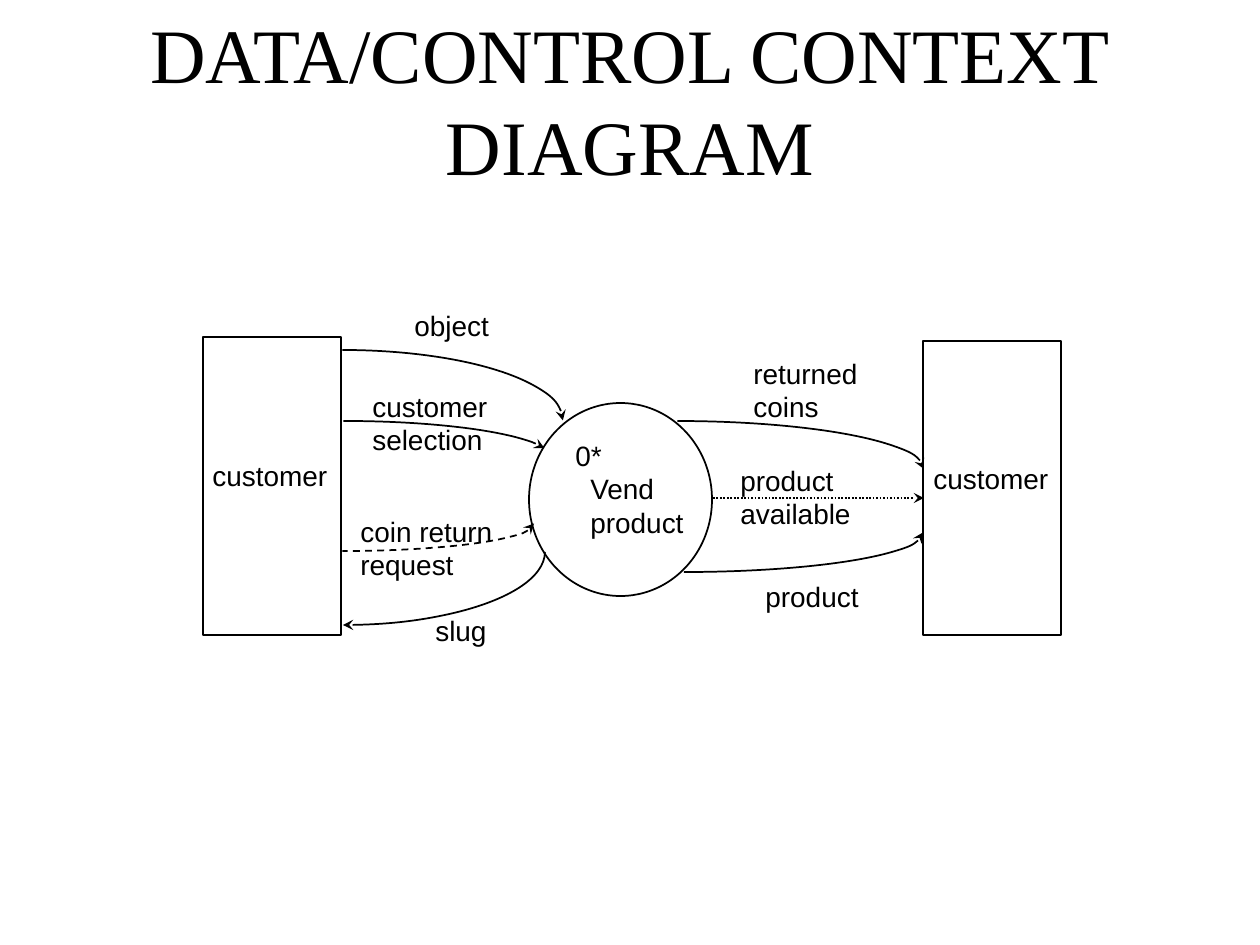
from lxml.etree import SubElement
from pptx import Presentation
from pptx.dml.color import RGBColor
from pptx.enum.dml import MSO_LINE
from pptx.enum.shapes import MSO_CONNECTOR, MSO_SHAPE
from pptx.enum.text import MSO_ANCHOR, PP_ALIGN
from pptx.oxml.ns import qn
from pptx.util import Emu, Pt

BLACK = RGBColor(0, 0, 0)
WHITE = RGBColor(255, 255, 255)
EMU_PER_PX = 914400 / 126


def px(length):
    return Emu(round(length * EMU_PER_PX))


class ContextDiagram:
    """Draws diagram elements on one slide in a shared style."""

    title_font, title_size = "Times New Roman", Pt(44)
    label_font, label_size = "Arial", Pt(16)
    line_width = Pt(1)

    def __init__(self, slide):
        self.slide = slide

    def _text(self, box, lines, font, size, wrap):
        frame = self.slide.shapes.add_textbox(*map(px, box)).text_frame
        frame.word_wrap = wrap
        frame.text = "\n".join(lines)
        for paragraph in frame.paragraphs:
            paragraph.font.name = font
            paragraph.font.size = size
            paragraph.font.color.rgb = BLACK
        return frame

    def _outline(self, line, dash=None):
        line.color.rgb = BLACK
        line.width = self.line_width
        if dash is not None:
            line.dash_style = dash

    def _arrowhead(self, shape, end):
        """Put a stealth arrowhead at headEnd (start) or tailEnd (finish)."""
        line = shape.line._get_or_add_ln()
        SubElement(line, qn(f"a:{end}")).set("type", "stealth")

    def title(self, text, box):
        frame = self._text(box, [text], self.title_font, self.title_size, True)
        frame.vertical_anchor = MSO_ANCHOR.MIDDLE
        frame.paragraphs[0].alignment = PP_ALIGN.CENTER

    def label(self, box, *lines, indents=()):
        frame = self._text(box, lines, self.label_font, self.label_size, False)
        for paragraph, indent in zip(frame.paragraphs, indents):
            paragraph._p.get_or_add_pPr().set("marL", str(px(indent)))

    def node(self, kind, box):
        shape = self.slide.shapes.add_shape(kind, *map(px, box))
        shape.shadow.inherit = False
        shape.fill.solid()
        shape.fill.fore_color.rgb = WHITE
        self._outline(shape.line)

    def curve(self, box, start, finish, end="tailEnd", dash=None):
        """Draw a clockwise arc of the ellipse in box, angles in degrees."""
        arc = self.slide.shapes.add_shape(MSO_SHAPE.ARC, *map(px, box))
        arc.shadow.inherit = False
        # One degree is 60000 units; adjustments count in 100000 units.
        arc.adjustments[0] = start * 0.6
        arc.adjustments[1] = finish * 0.6
        arc.fill.background()
        self._outline(arc.line, dash)
        self._arrowhead(arc, end)

    def arrow(self, start, finish, dash):
        connector = self.slide.shapes.add_connector(
            MSO_CONNECTOR.STRAIGHT, *map(px, start + finish))
        self._outline(connector.line, dash)
        self._arrowhead(connector, "tailEnd")
        SubElement(connector._element.spPr, qn("a:effectLst"))


def main():
    presentation = Presentation()
    presentation.slide_width = px(1260)
    presentation.slide_height = px(945)
    slide = presentation.slides.add_slide(presentation.slide_layouts[6])
    diagram = ContextDiagram(slide)

    diagram.title("DATA/CONTROL CONTEXT DIAGRAM", (0, 0, 1260, 197))

    diagram.node(MSO_SHAPE.RECTANGLE, (203, 337, 138, 298))
    diagram.label((200, 452, 140, 47), "customer")
    diagram.node(MSO_SHAPE.OVAL, (529, 403, 183, 193))
    diagram.label((547, 432, 150, 113), "0*", "Vend", "product",
                  indents=(16, 31, 31))
    diagram.node(MSO_SHAPE.RECTANGLE, (923, 341, 138, 294))
    diagram.label((921, 455, 140, 47), "customer")

    # Flows between the left customer and the process
    diagram.curve((122, 350, 441, 141), 270, 0)
    diagram.label((402, 302, 100, 47), "object")
    diagram.curve((135, 421, 417, 74), 270, 357.2)
    diagram.label((360, 383, 140, 79), "customer", "selection")
    diagram.curve((151, 496, 383, 55), 0, 90, "headEnd", MSO_LINE.DASH)
    diagram.label((348, 508, 158, 79), "coin return", "request")
    diagram.curve((141, 479, 404, 146), 0, 90)
    diagram.label((423, 607, 77, 47), "slug")

    # Flows between the process and the right customer
    diagram.curve((431, 421, 493, 96), 270, 0)
    diagram.label((741, 350, 130, 79), "returned", "coins")
    diagram.arrow((713, 498), (924, 498), MSO_LINE.ROUND_DOT)
    diagram.label((728, 457, 136, 79), "product", "available")
    diagram.curve((445, 493, 478, 79), 0, 90, "headEnd")
    diagram.label((753, 573, 118, 47), "product")

    presentation.save("out.pptx")


if __name__ == "__main__":
    main()
